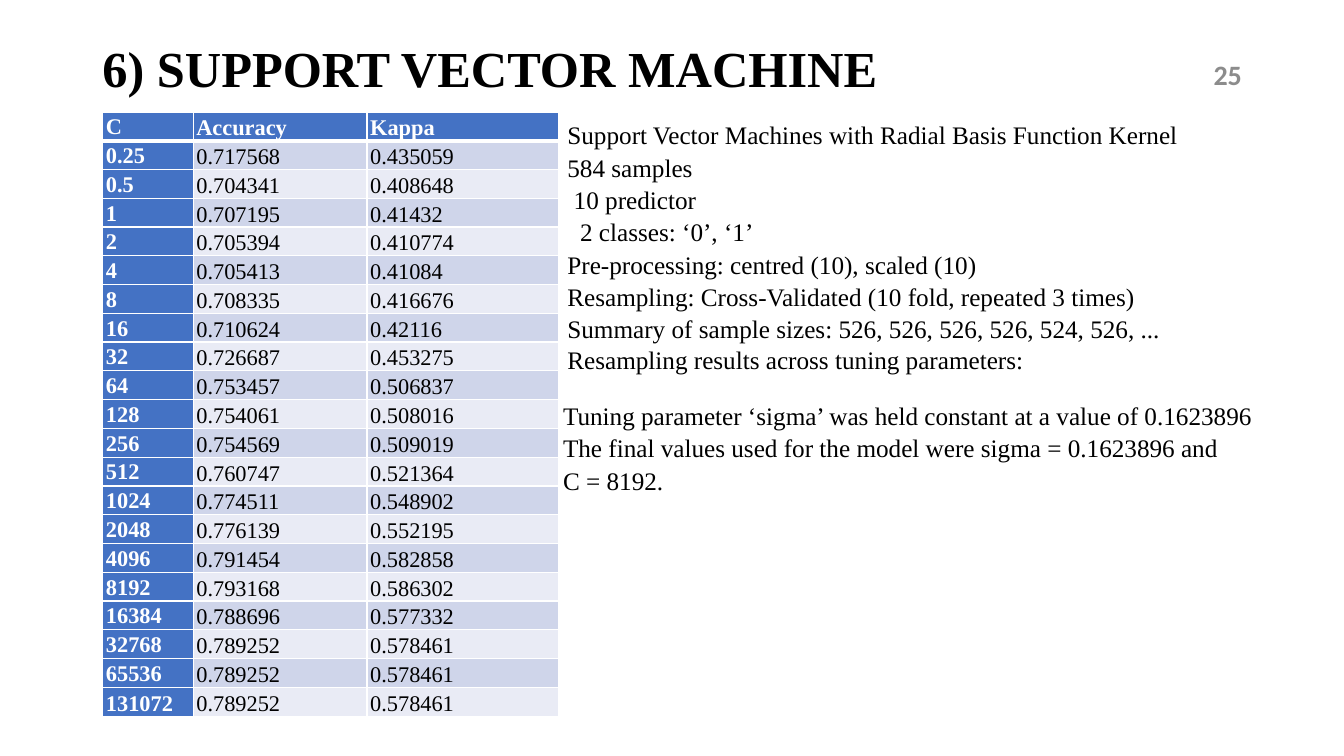
from dataclasses import dataclass

from lxml.etree import SubElement
from pptx import Presentation
from pptx.dml.color import RGBColor
from pptx.enum.text import MSO_ANCHOR, MSO_AUTO_SIZE, PP_ALIGN
from pptx.oxml.ns import qn
from pptx.util import Cm, Pt


@dataclass(frozen=True)
class Theme:
    serif: str = "Times New Roman"
    sans: str = "Calibri"
    black: str = "000000"
    white: str = "FFFFFF"
    gray: str = "8C8C8C"
    header: str = "4472C4"
    bands: tuple = ("CFD5EA", "E9EBF5")
    title_size: int = 36
    number_size: int = 20
    body_size: int = 18
    table_size: int = 16
    body_spacing: float = 1.07
    thin_border: int = 1
    thick_border: int = 3


THEME = Theme()

# Boxes are left, top, width, height in centimetres
TITLE_BOX = (2.33, 1.02, 29.21, 1.57)
NUMBER_BOX = (23.93, 1.37, 7.62, 1.02)
TABLE_BOX = (2.59, 2.82, 11.49, 14.2)
SUMMARY_BOX = (14.05, 2.84, 17.02, 6.86)
RESULT_BOX = (13.94, 9.91, 18.11, 2.69)

COLUMN_WIDTHS = (2.28, 4.38, 4.83)
COLUMN_NAMES = ("C", "Accuracy", "Kappa")
TUNING_RESULTS = (
    ("0.25", "0.717568", "0.435059"),
    ("0.5", "0.704341", "0.408648"),
    ("1", "0.707195", "0.41432"),
    ("2", "0.705394", "0.410774"),
    ("4", "0.705413", "0.41084"),
    ("8", "0.708335", "0.416676"),
    ("16", "0.710624", "0.42116"),
    ("32", "0.726687", "0.453275"),
    ("64", "0.753457", "0.506837"),
    ("128", "0.754061", "0.508016"),
    ("256", "0.754569", "0.509019"),
    ("512", "0.760747", "0.521364"),
    ("1024", "0.774511", "0.548902"),
    ("2048", "0.776139", "0.552195"),
    ("4096", "0.791454", "0.582858"),
    ("8192", "0.793168", "0.586302"),
    ("16384", "0.788696", "0.577332"),
    ("32768", "0.789252", "0.578461"),
    ("65536", "0.789252", "0.578461"),
    ("131072", "0.789252", "0.578461"),
)

# Each line has its text, indent in centimetres and line spacing
SUMMARY_LINES = (
    ("Support Vector Machines with Radial Basis Function Kernel", 0, THEME.body_spacing),
    ("584 samples", 0, THEME.body_spacing),
    ("10 predictor", 0.16, THEME.body_spacing),
    ("2 classes: ‘0’, ‘1’", 0.32, THEME.body_spacing),
    ("Pre-processing: centred (10), scaled (10)", 0, THEME.body_spacing),
    ("Resampling: Cross-Validated (10 fold, repeated 3 times)", 0, THEME.body_spacing),
    ("Summary of sample sizes: 526, 526, 526, 526, 524, 526, ...", 0, THEME.body_spacing),
    ("Resampling results across tuning parameters:", 0, 1.0),
)
RESULT_LINES = (
    ("Tuning parameter ‘sigma’ was held constant at a value of 0.1623896", 0, THEME.body_spacing),
    ("The final values used for the model were sigma = 0.1623896 and", 0, THEME.body_spacing),
    ("C = 8192.", 0, THEME.body_spacing),
)


def apply_format(target, values):
    for name, value in values.items():
        setattr(target, name, value)


def write_paragraph(paragraph, text, size, color, bold=False, font=THEME.serif,
                    align=PP_ALIGN.JUSTIFY, spacing=THEME.body_spacing, indent=0):
    run = paragraph.add_run()
    run.text = text
    apply_format(paragraph, {"alignment": align, "line_spacing": spacing})
    apply_format(run.font, {"name": font, "size": Pt(size), "bold": bold})
    run.font.color.rgb = RGBColor.from_string(color)
    if indent:
        paragraph._p.get_or_add_pPr().set("marL", str(Cm(indent)))


def add_text_frame(slide, box, **values):
    frame = slide.shapes.add_textbox(*map(Cm, box)).text_frame
    apply_format(frame, {"word_wrap": True, **values})
    return frame


# Heading: title and slide number
def add_heading(slide, title_box, number_box):
    title = add_text_frame(slide, title_box, vertical_anchor=MSO_ANCHOR.MIDDLE)
    write_paragraph(title.paragraphs[0], "6) SUPPORT VECTOR MACHINE", THEME.title_size,
                    THEME.black, bold=True, align=PP_ALIGN.LEFT, spacing=0.9)
    number = add_text_frame(slide, number_box, vertical_anchor=MSO_ANCHOR.MIDDLE)
    write_paragraph(number.paragraphs[0], "25", THEME.number_size, THEME.gray,
                    bold=True, font=THEME.sans, align=PP_ALIGN.RIGHT, spacing=1.0)


# Text block: one paragraph per line
def add_text_block(slide, box, lines):
    frame = add_text_frame(slide, box, auto_size=MSO_AUTO_SIZE.SHAPE_TO_FIT_TEXT)
    for index, (text, indent, spacing) in enumerate(lines):
        paragraph = frame.add_paragraph() if index else frame.paragraphs[0]
        align = PP_ALIGN.LEFT if spacing == 1.0 else PP_ALIGN.JUSTIFY
        write_paragraph(paragraph, text, THEME.body_size, THEME.black,
                        align=align, spacing=spacing, indent=indent)


def set_borders(cell, row):
    properties = cell._tc.get_or_add_tcPr()
    thick_side = {0: "lnB", 1: "lnT"}.get(row)
    for side in ("lnL", "lnR", "lnT", "lnB"):
        width = THEME.thick_border if side == thick_side else THEME.thin_border
        line = SubElement(properties, qn(f"a:{side}"), w=str(Pt(width)))
        fill = SubElement(line, qn("a:solidFill"))
        SubElement(fill, qn("a:srgbClr"), val=THEME.white)


# Table: header row, header column and banded values
def add_tuning_table(slide, box):
    rows = (COLUMN_NAMES, *TUNING_RESULTS)
    table = slide.shapes.add_table(len(rows), len(COLUMN_NAMES), *map(Cm, box)).table
    for column, width in zip(table.columns, COLUMN_WIDTHS):
        column.width = Cm(width)
    for row, texts in enumerate(rows):
        for column, text in enumerate(texts):
            cell = table.cell(row, column)
            is_header = row == 0 or column == 0
            is_middle = column == 0 and row < len(rows) - 1
            apply_format(cell, {
                "margin_left": Cm(0.08), "margin_right": Cm(0.08),
                "margin_top": 0, "margin_bottom": 0,
                "vertical_anchor": MSO_ANCHOR.MIDDLE if is_middle else MSO_ANCHOR.BOTTOM,
            })
            set_borders(cell, row)
            cell.fill.solid()
            fill = THEME.header if is_header else THEME.bands[(row - 1) % 2]
            cell.fill.fore_color.rgb = RGBColor.from_string(fill)
            write_paragraph(cell.text_frame.paragraphs[0], text, THEME.table_size,
                            THEME.white if is_header else THEME.black, bold=is_header)


def main():
    presentation = Presentation()
    apply_format(presentation, {"slide_width": Cm(33.87), "slide_height": Cm(19.05)})
    slide = presentation.slides.add_slide(presentation.slide_layouts[6])
    add_heading(slide, TITLE_BOX, NUMBER_BOX)
    add_text_block(slide, SUMMARY_BOX, SUMMARY_LINES)
    add_tuning_table(slide, TABLE_BOX)
    add_text_block(slide, RESULT_BOX, RESULT_LINES)
    presentation.save("out.pptx")


if __name__ == "__main__":
    main()
